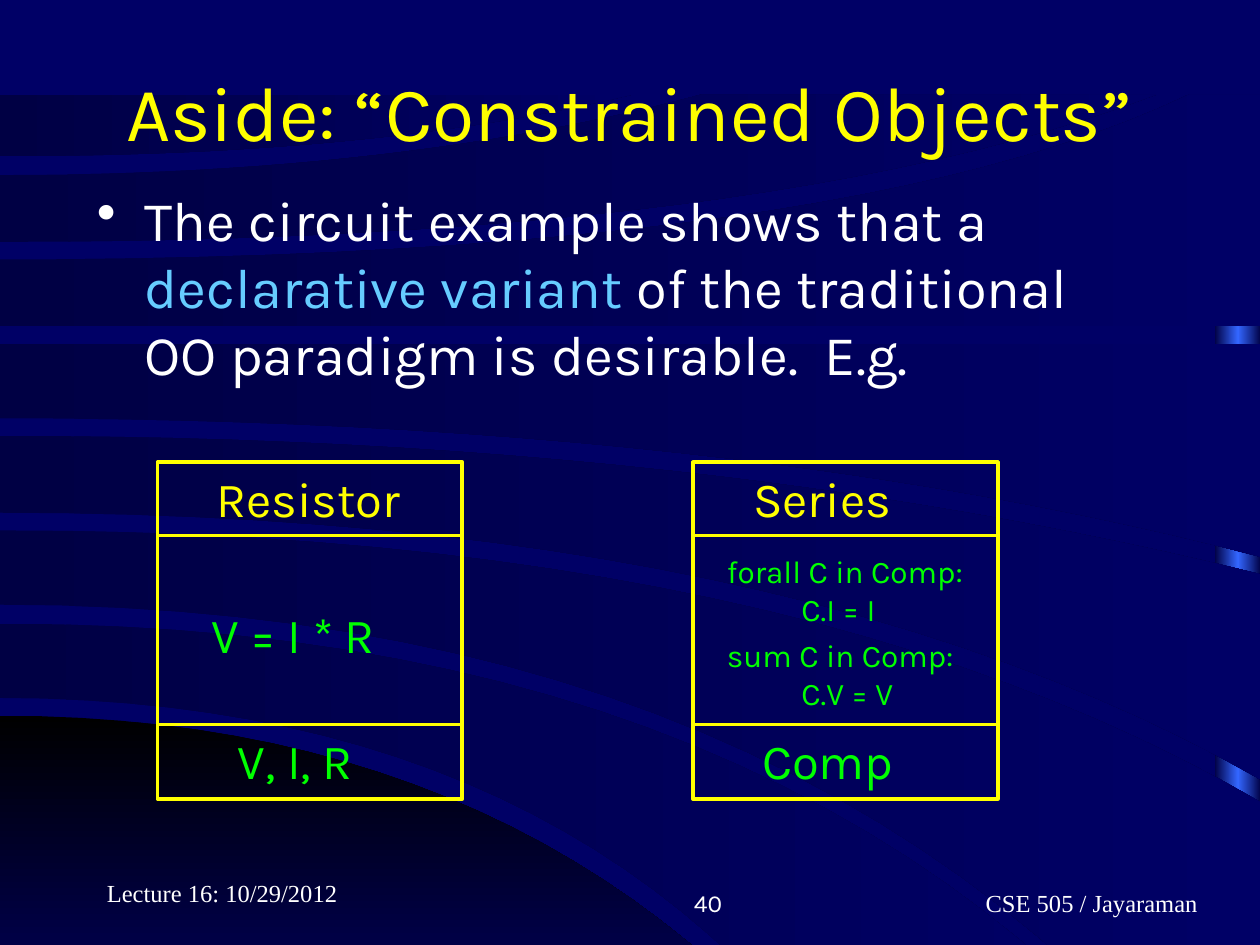
from lxml import etree
from pptx import Presentation
from pptx.dml.color import RGBColor
from pptx.enum import shapes, text
from pptx.oxml import ns
from pptx.util import Inches, Pt

NAVY = RGBColor(0x00, 0x00, 0x66)
DARK_NAVY = RGBColor(0x00, 0x00, 0x44)
BLUE = RGBColor(0x33, 0x66, 0xFF)
SKY = RGBColor(0x66, 0xCC, 0xFF)
BLACK = RGBColor(0x00, 0x00, 0x00)
WHITE = RGBColor(0xFF, 0xFF, 0xFF)
YELLOW = RGBColor(0xFF, 0xFF, 0x00)
GREEN = RGBColor(0x00, 0xFF, 0x00)
SANS = "Karla"
SERIF = "Times New Roman"

CARD_TOP, CARD_WIDTH, CARD_HEIGHT = 3.67, 2.42, 2.67
DIVIDERS = (4.25, 5.75)
LABEL_HEIGHT = 0.57
CURVE_STEPS = 24

# Each edge leaves the left side level: start y, bend x, end x, end y.
CORNER = ((5.68, 3.94, 6.29, 8.27), (8.27, 3, 6.29, 8.27))
# Upper and lower edge of each sweeping band, from the lowest to the highest.
BANDS = [
    ((4.95, 5.8, 8.94, 8.25), (5.54, 4.2, 6.43, 8.25)),
    ((4.21, 6.3, 10.01, 6.37), (4.8, 5.85, 9.1, 8.25)),
    ((3.46, 5.6, 10.01, 4.56), (4.07, 6.3, 10.01, 6.19)),
    ((2.73, 5, 10.01, 2.73), (3.32, 5.8, 10.01, 4.42)),
    ((2.06, 6.7, 9.44, 0.75), (2.59, 5, 10.01, 2.59)),
    ((1.39, 3.2, 5.57, 0.75), (1.92, 6.1, 9.18, 0.75)),
    ((0.75, 3, 5.02, 0.75), (1.24, 3, 5.02, 0.75)),
]


def fill_gradient(shape, colors, angle=0):
    """Fill with evenly spaced colours; the angle turns counter-clockwise."""
    shape.shadow.inherit = False
    shape.line.fill.background()
    shape.fill.gradient()
    shape.fill.gradient_angle = angle
    stops = shape._element.spPr.find(".//" + ns.qn("a:gsLst"))
    for stop in list(stops):
        stops.remove(stop)
    for index, color in enumerate(colors):
        position = str(100000 * index // (len(colors) - 1))
        stop = etree.SubElement(stops, ns.qn("a:gs"), pos=position)
        etree.SubElement(stop, ns.qn("a:srgbClr"), val=str(color))


def curve_points(start_y, bend_x, end_x, end_y):
    """Sample a quadratic curve that starts level at the left side."""
    steps = [index / CURVE_STEPS for index in range(CURVE_STEPS + 1)]
    return [(2 * t * (1 - t) * bend_x + t * t * end_x,
             start_y + t * t * (end_y - start_y)) for t in steps]


def add_band(slide, edges, colors, angle=0):
    upper, lower = edges
    right = max(upper[2], lower[2])
    points = curve_points(*upper) + [(right, upper[3]), (right, lower[3])]
    points += reversed(curve_points(*lower))
    corners = [(Inches(x), Inches(y)) for x, y in points]
    builder = slide.shapes.build_freeform(*corners[0])
    builder.add_line_segments(corners[1:], close=True)
    fill_gradient(builder.convert_to_shape(), colors, angle)


def add_backdrop(slide):
    slide.background.fill.solid()
    slide.background.fill.fore_color.rgb = NAVY
    strip = slide.shapes.add_shape(shapes.MSO_SHAPE.RECTANGLE, Inches(9.64),
                                   Inches(0.77), Inches(0.37), Inches(6.73))
    fill_gradient(strip, [DARK_NAVY, BLUE, DARK_NAVY])
    add_band(slide, CORNER, [BLACK, NAVY], 270)
    for band in BANDS:
        add_band(slide, band, [DARK_NAVY, NAVY])


def add_text(slide, box, lines, size, color, font=SANS, wrap=True,
             align=text.PP_ALIGN.LEFT, anchor=text.MSO_ANCHOR.TOP):
    """Add a text box; each line is a list of (wording, colour or None) runs."""
    frame = slide.shapes.add_textbox(*map(Inches, box)).text_frame
    frame.word_wrap = wrap
    frame.vertical_anchor = anchor
    for index, runs in enumerate(lines):
        paragraph = frame.paragraphs[0] if index == 0 else frame.add_paragraph()
        paragraph.alignment = align
        for wording, run_color in runs:
            run = paragraph.add_run()
            run.text = wording
            run.font.name = font
            run.font.size = Pt(size)
            run.font.color.rgb = run_color or color
    return frame.paragraphs[0]


def indent(paragraph, margin, first=0, bullet=None):
    properties = paragraph._p.get_or_add_pPr()
    properties.set("marL", str(Inches(margin)))
    properties.set("indent", str(Inches(first)))
    if bullet:
        etree.SubElement(properties, ns.qn("a:buChar"), char=bullet)


def add_label(slide, left, top, width, wording, color):
    add_text(slide, (left, top, width, LABEL_HEIGHT), [[(wording, None)]], 28,
             color, wrap=False)


def add_card(slide, left):
    """Draw a class box with its two dividing lines."""
    frame = slide.shapes.add_shape(
        shapes.MSO_SHAPE.RECTANGLE, Inches(left), Inches(CARD_TOP),
        Inches(CARD_WIDTH), Inches(CARD_HEIGHT))
    frame.shadow.inherit = False
    frame.fill.background()
    dividers = [slide.shapes.add_connector(
        shapes.MSO_CONNECTOR.STRAIGHT, Inches(left), Inches(y),
        Inches(left + CARD_WIDTH), Inches(y)) for y in DIVIDERS]
    for shape in (frame, *dividers):
        shape.line.color.rgb = YELLOW
        shape.line.width = Pt(2.25)
    for divider in dividers:
        etree.SubElement(divider._element.spPr, ns.qn("a:effectLst"))


def add_footer(slide):
    bottom = text.MSO_ANCHOR.BOTTOM
    course = add_text(slide, (6.58, 6.83, 3.17, 0.5), [[("CSE 505 / Jayaraman", None)]],
                      14, WHITE, SERIF, align=text.PP_ALIGN.CENTER, anchor=bottom)
    indent(course, 1)
    add_text(slide, (3.75, 6.83, 2.08, 0.5), [[("40", None)]], 14, WHITE,
             align=text.PP_ALIGN.RIGHT, anchor=bottom)
    add_text(slide, (0.75, 6.75, 2.08, 0.5), [[("Lecture 16: 10/29/2012", None)]],
             14, WHITE, SERIF, anchor=bottom)


def main():
    presentation = Presentation()
    presentation.slide_width, presentation.slide_height = Inches(10), Inches(7.5)
    slide = presentation.slides.add_slide(presentation.slide_layouts[6])
    add_backdrop(slide)
    add_footer(slide)
    add_text(slide, (0.75, 0.25, 8.5, 1.25), [[("Aside: “Constrained Objects”", None)]],
             44, YELLOW, align=text.PP_ALIGN.CENTER, anchor=text.MSO_ANCHOR.MIDDLE)
    statement = add_text(slide, (0.67, 1.42, 8.5, 4.5), [[
        ("The circuit example shows that a ", None),
        ("declarative variant", SKY),
        (" of the traditional OO paradigm is desirable.  E.g.", None)]], 32, WHITE)
    indent(statement, 0.38, -0.38, "•")

    add_card(slide, 1.25)
    add_label(slide, 1.62, CARD_TOP, 1.67, "Resistor", YELLOW)
    add_label(slide, 1.58, 4.75, 1.64, "V = I * R", GREEN)
    add_label(slide, 1.79, DIVIDERS[1], 1.21, "V, I, R", GREEN)

    add_card(slide, 5.5)
    add_label(slide, 5.88, CARD_TOP, 1.3, "Series", YELLOW)
    add_label(slide, 5.95, DIVIDERS[1], 1.28, "Comp", GREEN)
    for top, head, body in ((4.33, "forall C in Comp:", "          C.I = I"),
                            (5, "sum C in Comp:", "          C.V = V")):
        add_text(slide, (5.67, top, 2.17, 0.7), [[(head, None)], [(body, None)]],
                 18, GREEN)
    presentation.save("out.pptx")


if __name__ == "__main__":
    main()
